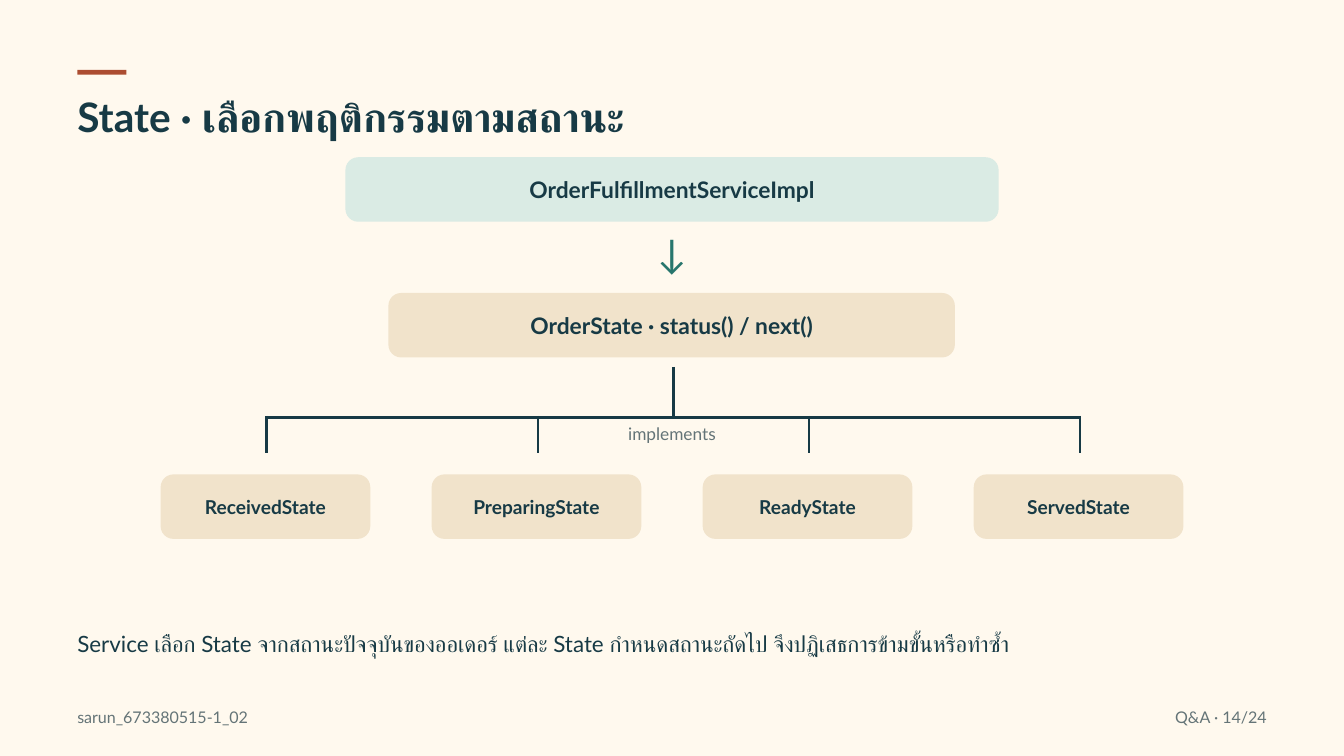
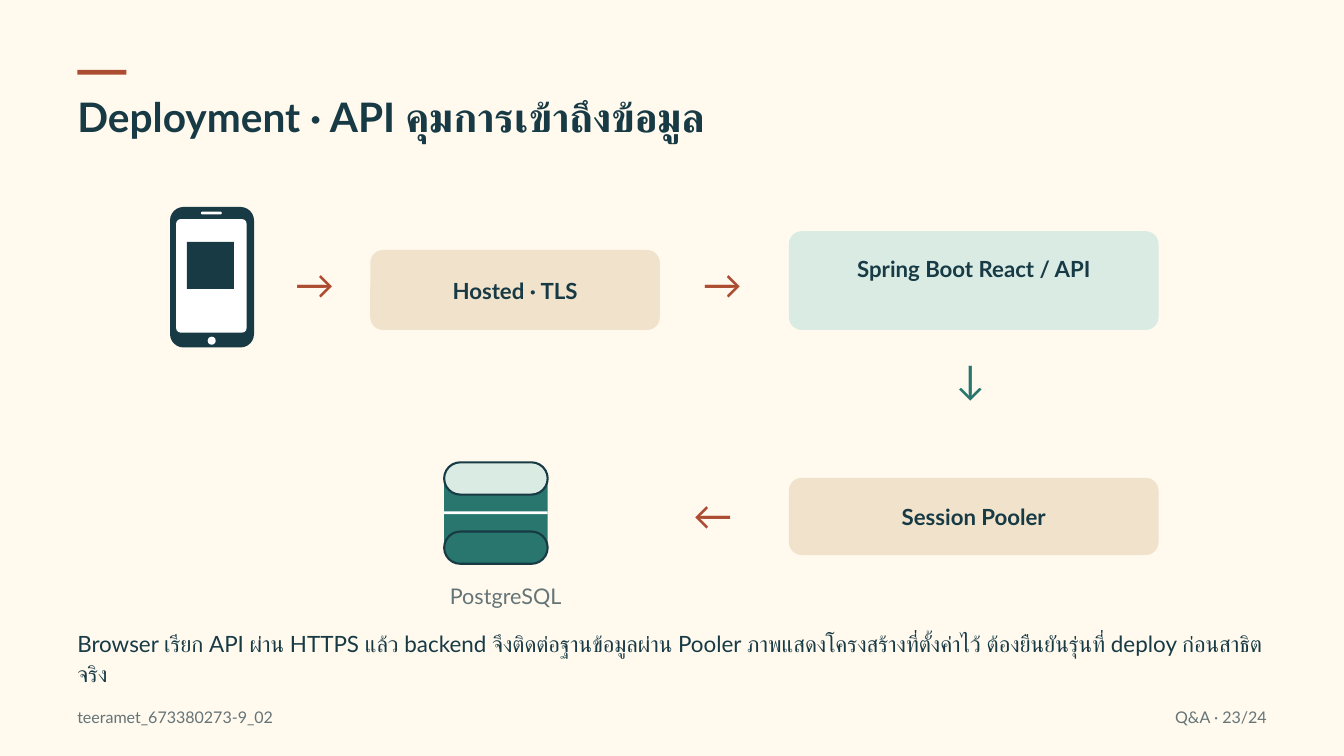
from lxml import etree
from pptx import Presentation
from pptx.dml.color import RGBColor
from pptx.enum.shapes import MSO_CONNECTOR, MSO_SHAPE
from pptx.enum.text import MSO_ANCHOR, PP_ALIGN
from pptx.oxml.ns import qn
from pptx.util import Inches, Pt

RECT, ROUND, OVAL = MSO_SHAPE.RECTANGLE, MSO_SHAPE.ROUNDED_RECTANGLE, MSO_SHAPE.OVAL
LEFT, CENTER, RIGHT = PP_ALIGN.LEFT, PP_ALIGN.CENTER, PP_ALIGN.RIGHT
TOP, MIDDLE = MSO_ANCHOR.TOP, MSO_ANCHOR.MIDDLE
STRAIGHT = MSO_CONNECTOR.STRAIGHT

FONT = "Lato"
LINE_FACTOR = 1.34
COLORS = {
    "page": "FFF9EE",
    "ink": "173A45",
    "rust": "AC4D31",
    "teal": "28766D",
    "mint": "DAEBE4",
    "sand": "F1E3CB",
    "gray": "647477",
    "white": "FFFFFF",
}
RGB = {name: RGBColor.from_string(value) for name, value in COLORS.items()}


def add_shape(s, kind, box, fill, radius=0.19, outline=None):
    sp = s.shapes.add_shape(kind, *map(Inches, box))
    sp.shadow.inherit = False
    sp.fill.solid()
    sp.fill.fore_color.rgb = RGB[fill]
    if kind == ROUND:
        sp.adjustments[0] = min(0.5, radius / min(box[2:]))
    if outline:
        sp.line.color.rgb = RGB[outline]
        sp.line.width = Pt(2.25)
    else:
        sp.line.fill.background()
    return sp


def add_text(s, text, box, size, color="ink", bold=False, align=LEFT, sp=None):
    """Write into sp if given, otherwise into a new text box."""
    inset = 0.16 if sp else 0
    sp = sp or s.shapes.add_textbox(*map(Inches, box))
    tf = sp.text_frame
    tf.word_wrap = True
    tf.margin_left = tf.margin_right = Inches(inset)
    tf.margin_top = 0
    tf.margin_bottom = Inches(inset / 4)
    tf.vertical_anchor = MIDDLE if inset else TOP
    p = tf.paragraphs[0]
    p.text = text
    p.alignment = align
    p.line_spacing = Pt(round(size * LINE_FACTOR, 1))
    r = p.runs[0]
    r.font.name = FONT
    r.font.size = Pt(size)
    r.font.bold = bold
    r.font.color.rgb = RGB[color]
    etree.SubElement(r.font._element, qn("a:cs"), typeface=FONT)
    return tf


prs = Presentation()
prs.slide_width, prs.slide_height = Inches(20), Inches(11.25)
prs.slide_master.background.fill.solid()
prs.slide_master.background.fill.fore_color.rgb = RGB["page"]

# Shared frame: accent bar, title, explanation, footer
frames = [
    ("State · เลือกพฤติกรรมตามสถานะ",
     "Service เลือก State จากสถานะปัจจุบันของออเดอร์ แต่ละ State กำหนดสถานะถัดไป "
     "จึงปฏิเสธการข้ามขั้นหรือทำซ้ำ",
     "sarun_673380515-1_02", 14),
    ("Deployment · API คุมการเข้าถึงข้อมูล",
     "Browser เรียก API ผ่าน HTTPS แล้ว backend จึงติดต่อฐานข้อมูลผ่าน Pooler "
     "ภาพแสดงโครงสร้างที่ตั้งค่าไว้ ต้องยืนยันรุ่นที่ deploy ก่อนสาธิตจริง",
     "teeramet_673380273-9_02", 23),
]
for title, explanation, author, number in frames:
    s = prs.slides.add_slide(prs.slide_layouts[6])
    add_shape(s, RECT, (1.15, 1.04, 0.73, 0.07), "rust")
    add_text(s, title, (1.15, 1.29, 17.81, 0.87), 43.5, bold=True)
    add_text(s, explanation, (1.15, 9.33, 17.71, 0.93), 24)
    add_text(s, author, (1.15, 10.5, 13.02, 0.34), 17.2, "gray")
    add_text(s, f"Q&A · {number}/24", (15.31, 10.5, 3.54, 0.34), 17.2, "gray", align=RIGHT)
state_slide, deploy_slide = prs.slides

# State slide: service, interface and implementing states
s = state_slide
PITCH = 12.1 / 3
boxes = [
    ("OrderFulfillmentServiceImpl", (5.14, 2.34, 9.72, 0.96), "mint", 24.4),
    ("OrderState · status() / next()", (5.78, 4.36, 8.43, 0.96), "sand", 24.4),
]
for i, state in enumerate(["Received", "Preparing", "Ready", "Served"]):
    boxes.append((f"{state}State", (2.39 + i * PITCH, 7.06, 3.12, 0.96), "sand", 20.5))
for label, box, fill, size in boxes:
    sp = add_shape(s, ROUND, box, fill)
    add_text(s, label, box, size, bold=True, align=CENTER, sp=sp)
add_text(s, "↓", (9.22, 3.33, 1.56, 0.85), 42.2, "teal", align=CENTER)

# State slide: tree lines
tree = [(10.02, 5.46, 10.02, 6.19), (3.95, 6.21, 16.09, 6.21)]
tree += [(3.97 + i * PITCH, 6.19, 3.97 + i * PITCH, 6.74) for i in range(4)]
for ends in tree:
    line = s.shapes.add_connector(STRAIGHT, *map(Inches, ends))
    line.line.color.rgb = RGB["ink"]
    line.line.width = Pt(2.75)
    etree.SubElement(line._element.spPr, qn("a:effectLst"))
add_text(s, "implements", (7.8, 6.26, 4.4, 0.37), 18.5, "gray", align=CENTER)

# Deployment slide: phone with a plain tile on its screen
s = deploy_slide
add_shape(s, ROUND, (2.53, 3.08, 1.25, 2.09), "ink", 0.2)
add_shape(s, ROUND, (2.62, 3.26, 1.05, 1.69), "white", 0.07)
add_shape(s, ROUND, (2.99, 3.15, 0.31, 0.04), "white", 0.02)
add_shape(s, OVAL, (3.09, 5.01, 0.12, 0.12), "white")
add_shape(s, RECT, (2.78, 3.6, 0.7, 0.7), "ink")

# Deployment slide: services
services = [
    ("Hosted · TLS", (5.51, 3.72, 4.31, 1.19), "sand"),
    ("Spring Boot React / API", (11.74, 3.44, 5.5, 1.47), "mint"),
    ("Session Pooler", (11.74, 7.11, 5.5, 1.15), "sand"),
]
for label, box, fill in services:
    sp = add_shape(s, ROUND, box, fill)
    tf = add_text(s, label, box, 23.8, bold=True, align=CENTER, sp=sp)
    if fill == "mint":
        tf.vertical_anchor = TOP
        tf.margin_top = Inches(0.26)

# Deployment slide: arrows between the steps
for arrow, x, y, w, color in [
    ("→", 4.04, 3.79, 1.28, "rust"),
    ("→", 9.95, 3.79, 1.6, "rust"),
    ("↓", 13.66, 5.21, 1.56, "teal"),
    ("←", 9.81, 7.23, 1.6, "rust"),
]:
    add_text(s, arrow, (x, y, w, 0.85), 42.2, color, align=CENTER)

# Deployment slide: database
add_shape(s, ROUND, (6.61, 7.04, 1.54, 1.28), "teal", 0.17)
for y, fill in [(6.88, "mint"), (7.91, "teal")]:
    add_shape(s, ROUND, (6.61, y, 1.54, 0.48), fill, 0.24, outline="ink")
add_shape(s, RECT, (6.61, 7.61, 1.54, 0.04), "white")
add_text(s, "PostgreSQL", (5.6, 8.63, 3.85, 0.46), 23.1, "gray", align=CENTER)

prs.save("out.pptx")
